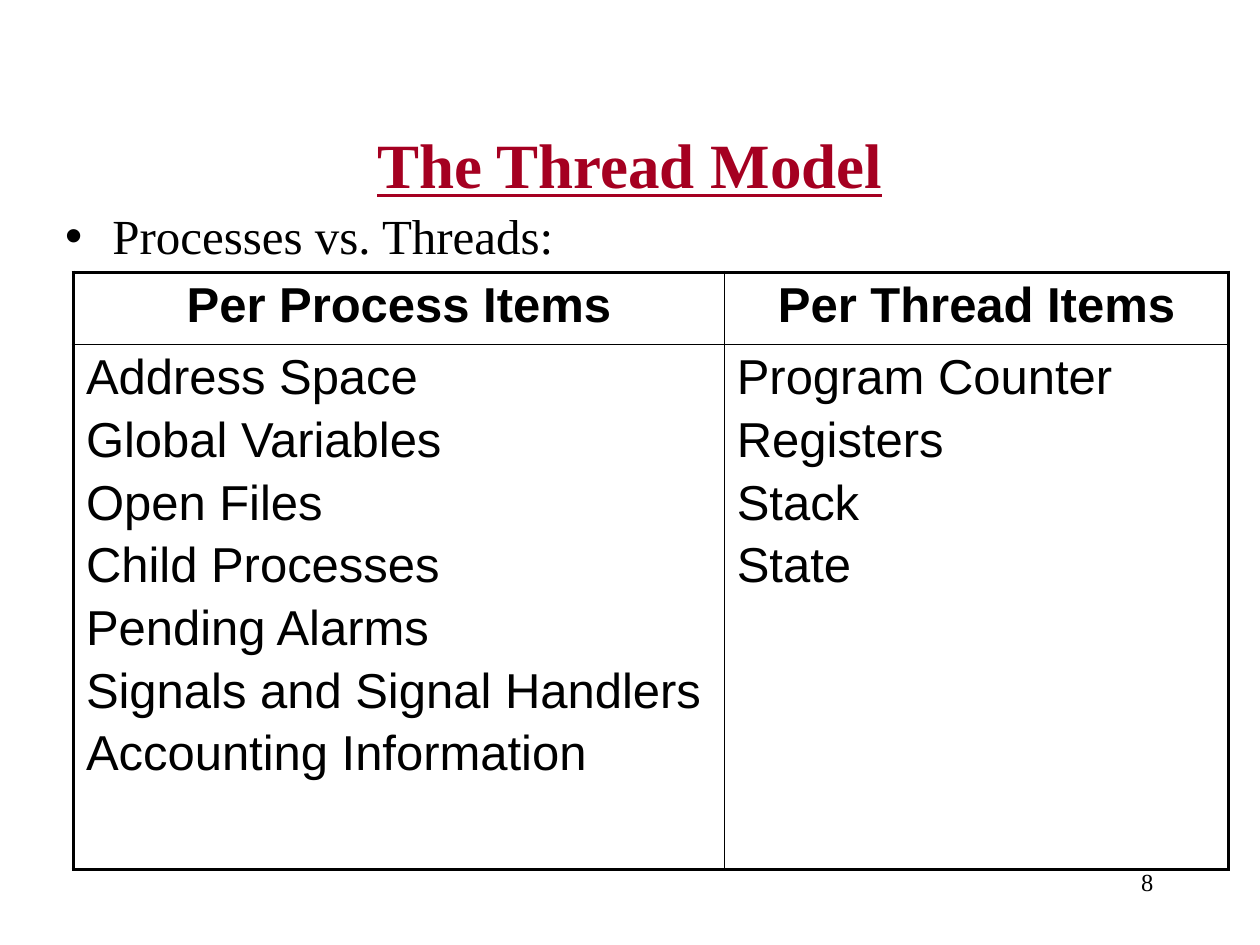
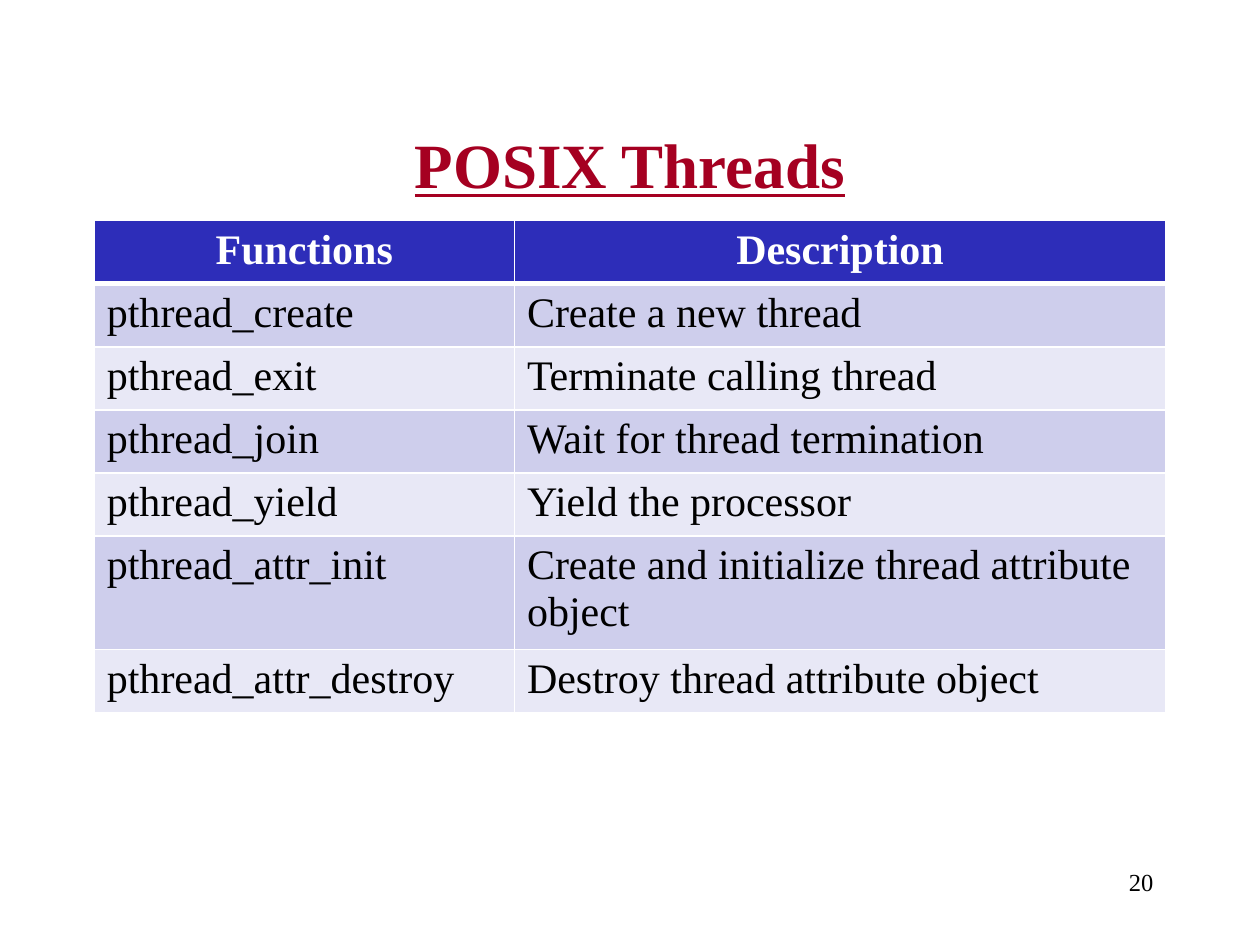
"""Build two slides that compare processes with threads and list POSIX calls."""
from pptx import Presentation, util as u
from pptx.dml.color import RGBColor
from pptx.enum import text
from pptx.oxml import parse_xml
from pptx.oxml.ns import nsdecls

CRIMSON = RGBColor(0xA5, 0x00, 0x21)
BLACK = RGBColor(0x00, 0x00, 0x00)
WHITE = RGBColor(0xFF, 0xFF, 0xFF)
HEADER_BLUE = RGBColor(0x2D, 0x2D, 0xB9)
BANDS = (RGBColor(0xCE, 0xCE, 0xEC), RGBColor(0xE8, 0xE8, 0xF6))
SERIF, SANS = "Times New Roman", "Arial"

ITEMS = [
    ("Per Process Items", "Per Thread Items"),
    ("Address Space\nGlobal Variables\nOpen Files\nChild Processes\n"
     "Pending Alarms\nSignals and Signal Handlers\nAccounting Information",
     "Program Counter\nRegisters\nStack\nState"),
]
CALLS = [
    ("Functions", "Description"),
    ("pthread_create", "Create a new thread"),
    ("pthread_exit", "Terminate calling thread"),
    ("pthread_join", "Wait for thread termination"),
    ("pthread_yield", "Yield the processor"),
    ("pthread_attr_init", "Create and initialize thread attribute object"),
    ("pthread_attr_destroy", "Destroy thread attribute object"),
]


def place(shape, left, top, width, height):
    """Move and size a shape, in centimetres."""
    shape.left, shape.top = u.Cm(left), u.Cm(top)
    shape.width, shape.height = u.Cm(width), u.Cm(height)


def write(frame, words, size, font=SERIF, color=BLACK, bold=False,
          underline=False, align=None, gap=None):
    """Fill a text frame and format all its runs alike."""
    frame.text = words
    for index, paragraph in enumerate(frame.paragraphs):
        paragraph.alignment = align
        if gap and index:
            paragraph.space_before = u.Pt(gap)
        for run in paragraph.runs:
            run.font.name, run.font.size = font, u.Pt(size)
            run.font.color.rgb = color
            run.font.bold, run.font.underline = bold, underline


def add_titled_slide(deck, layout, heading, number):
    """Add a slide with the shared title and page number."""
    slide = deck.slides.add_slide(deck.slide_layouts[layout])
    title = slide.shapes.title
    place(title, 1.9, 1.7, 21.6, 3.18)
    title.text_frame.vertical_anchor = text.MSO_ANCHOR.MIDDLE
    write(title.text_frame, heading, 36, color=CRIMSON, bold=True,
          underline=True, align=text.PP_ALIGN.CENTER)
    page = slide.shapes.add_textbox(u.Cm(18.2), u.Cm(17.35), u.Cm(5.3), u.Cm(1.27))
    page.text_frame.word_wrap = True
    write(page.text_frame, str(number), 14, align=text.PP_ALIGN.RIGHT)
    return slide


def add_borders(cell, color, widths):
    """Draw the left, right, top and bottom borders of a cell, in points."""
    properties = cell._tc.get_or_add_tcPr()
    for side, width in zip("LRTB", widths):
        properties.append(parse_xml(
            f'<a:ln{side} {nsdecls("a")} w="{u.Pt(width)}"><a:solidFill>'
            f'<a:srgbClr val="{color}"/></a:solidFill></a:ln{side}>'))


def add_grid(slide, rows, left, top, column_widths, row_heights, line_color,
             outer, header_rule, header_fill, header_color, bands, size, font,
             gap=None):
    """Add a table with a header row, ruled borders and banded rows."""
    frame = slide.shapes.add_table(
        len(rows), len(column_widths), u.Cm(left), u.Cm(top),
        u.Cm(sum(column_widths)), u.Cm(sum(row_heights)))
    table = frame.table
    table.first_row = table.horz_banding = False
    for column, width in zip(table.columns, column_widths):
        column.width = u.Cm(width)
    for row, height in zip(table.rows, row_heights):
        row.height = u.Cm(height)
    across = [outer] + [1] * (len(column_widths) - 1) + [outer]
    down = [outer, header_rule] + [1] * (len(rows) - 2) + [outer]
    for r, entries in enumerate(rows):
        header = r == 0
        for c, entry in enumerate(entries):
            cell = table.cell(r, c)
            add_borders(cell, line_color,
                        (across[c], across[c + 1], down[r], down[r + 1]))
            cell.fill.solid()
            cell.fill.fore_color.rgb = header_fill if header else bands[(r - 1) % len(bands)]
            write(cell.text_frame, entry, size, font,
                  color=header_color if header else BLACK, bold=header,
                  align=text.PP_ALIGN.CENTER if header else None, gap=gap)


def add_thread_model(deck):
    """Add the comparison of process items and thread items."""
    slide = add_titled_slide(deck, 1, "The Thread Model", 8)
    topic = slide.placeholders[1]
    place(topic, 1.06, 4.02, 24.34, 1.9)
    topic.text_frame.auto_size = text.MSO_AUTO_SIZE.NONE
    write(topic.text_frame, "Processes vs. Threads:", 28)
    add_grid(slide, ITEMS, 1.48, 5.49, (13.12, 10.17), (1.45, 10.59),
             line_color=BLACK, outer=2.25, header_rule=1, header_fill=WHITE,
             header_color=BLACK, bands=(WHITE,), size=28, font=SANS, gap=4.6)


def add_posix_threads(deck):
    """Add the table of POSIX thread functions."""
    slide = add_titled_slide(deck, 5, "POSIX Threads", 20)
    add_grid(slide, CALLS, 1.9, 4.45, (8.47, 13.13), [1.04] * len(CALLS),
             line_color=WHITE, outer=1, header_rule=3, header_fill=HEADER_BLUE,
             header_color=WHITE, bands=BANDS, size=24, font=SERIF)


def main():
    """Build and save the deck."""
    deck = Presentation()
    deck.slide_width, deck.slide_height = u.Cm(25.4), u.Cm(19.05)
    add_thread_model(deck)
    add_posix_threads(deck)
    deck.save("out.pptx")


if __name__ == "__main__":
    main()
